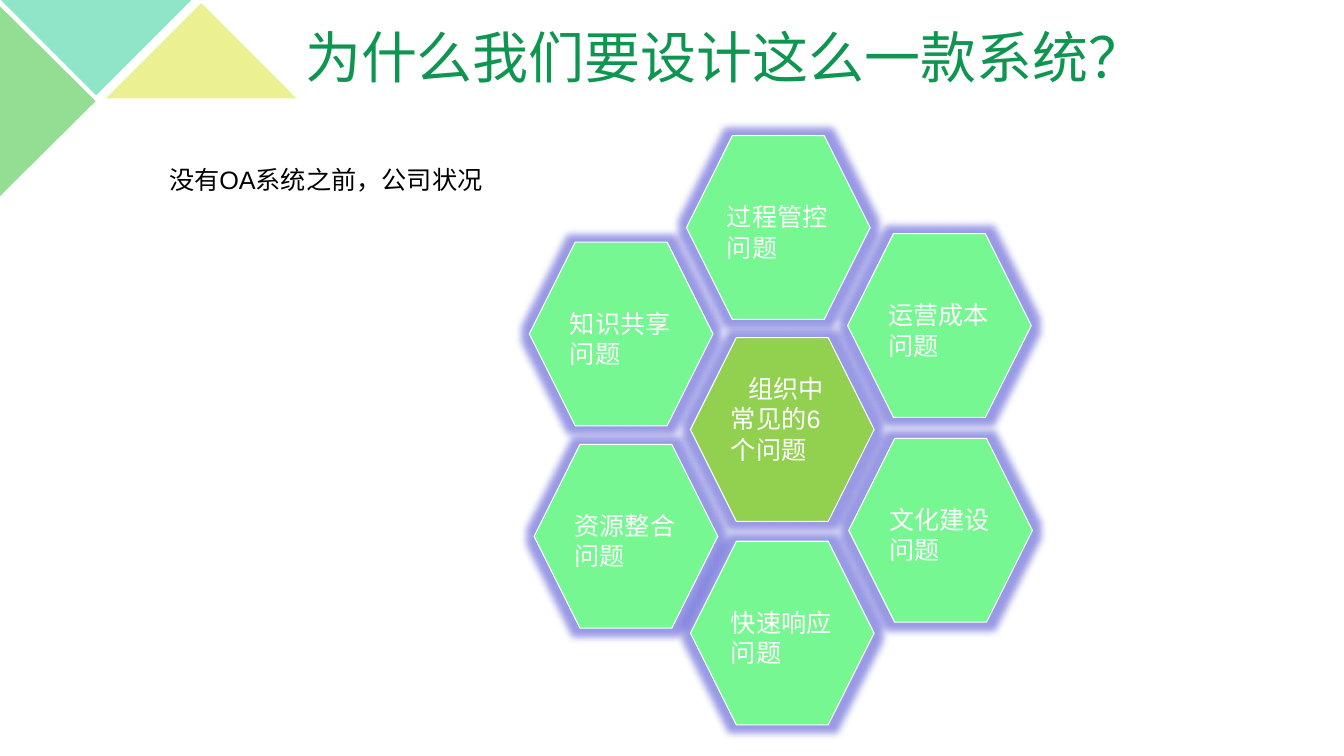
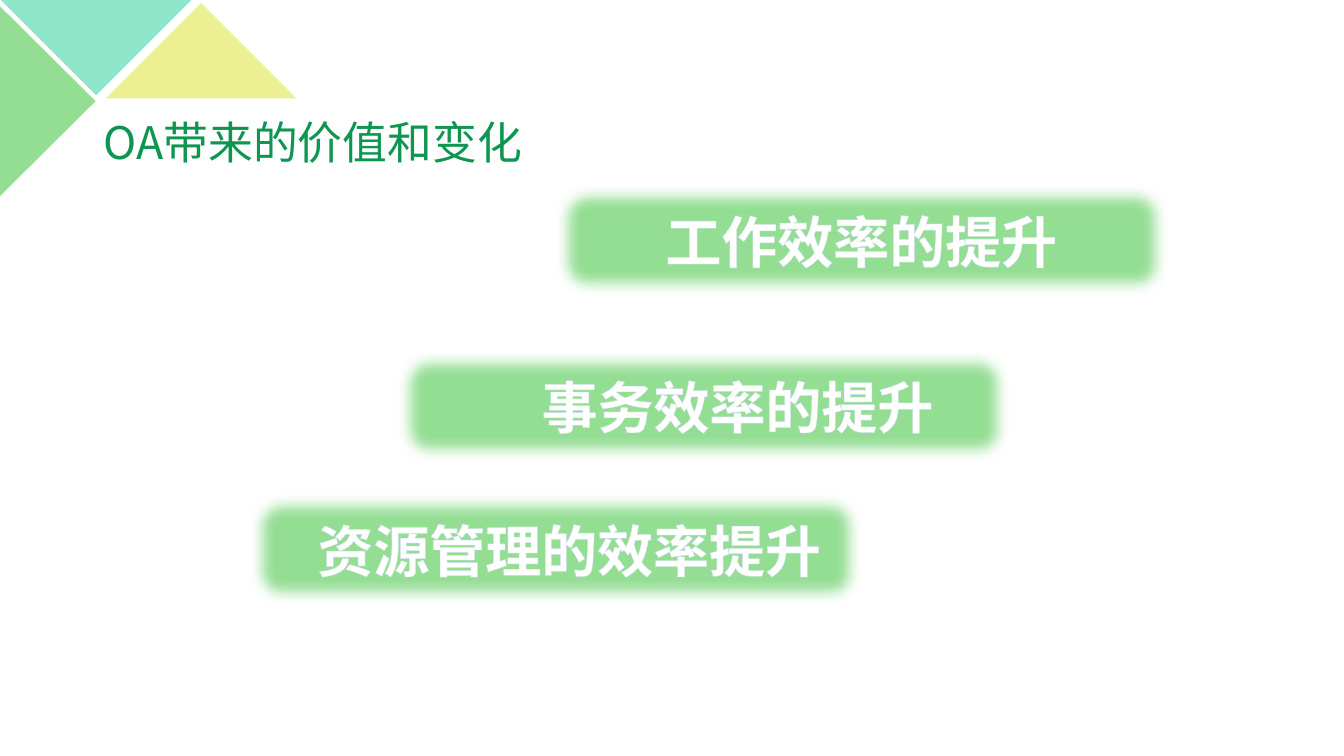
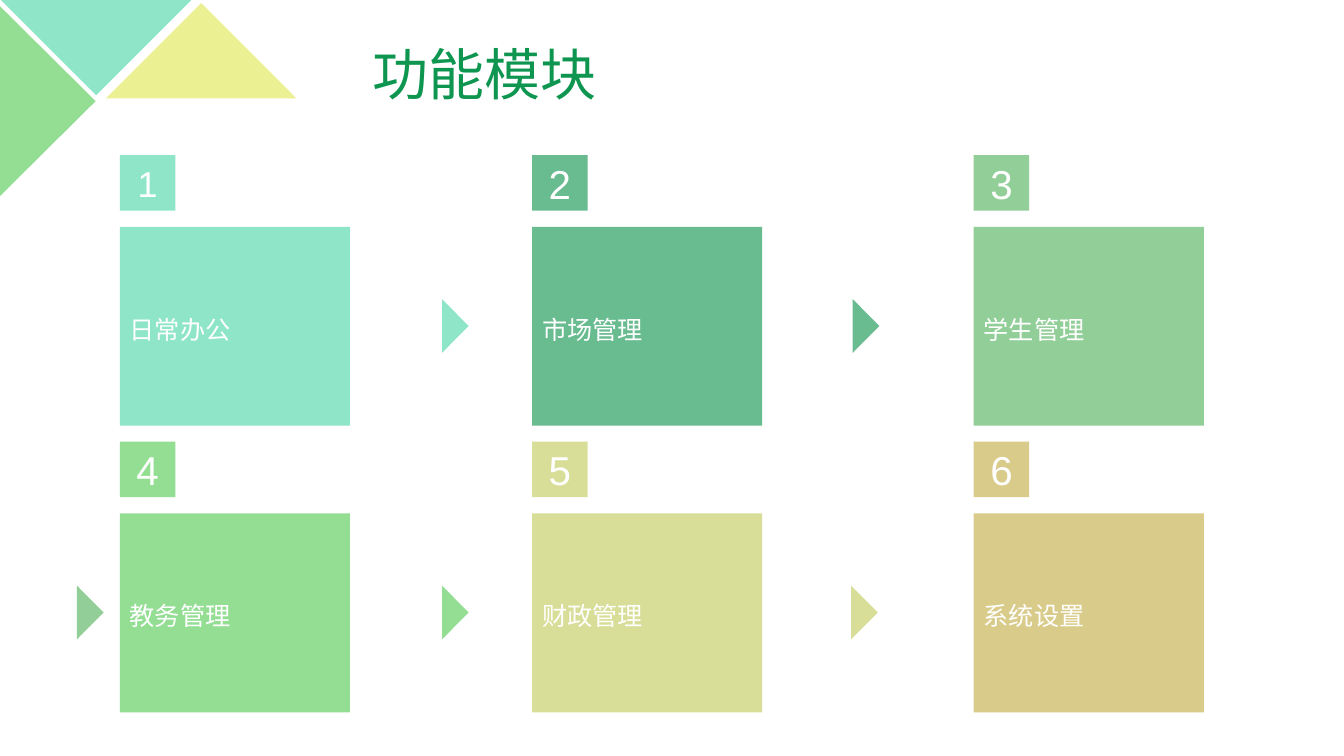
import pptx
import pptx.util
import pptx.dml.color
import pptx.enum.shapes
import pptx.enum.text
import pptx.oxml
import pptx.oxml.ns

Cm = pptx.util.Cm
Pt = pptx.util.Pt
PRESET = pptx.enum.shapes.MSO_SHAPE
ALIGN = pptx.enum.text.PP_ALIGN
ANCHOR = pptx.enum.text.MSO_ANCHOR

COLORS = {
    "title": "0E9651", "black": "000000", "white": "FFFFFF",
    "green": "94DE94", "mint": "8EE5C7", "yellow": "EBF092",
    "lime": "92D050", "bright": "76F791", "glow": "3333CC", "outline": "D0DFF0",
    "teal": "69BB90", "sage": "91CE98", "olive": "D8DE98", "sand": "D9CB89",
}
CJK_FONT = "Noto Sans CJK SC"
CORNER = [
    (-1.2, 1.34, 4.8, 2.42, 90, "green"),
    (0.02, 0, 4.8, 2.4, 180, "mint"),
    (2.67, 0.08, 4.8, 2.4, 0, "yellow"),
]


def rgb(color):
    return pptx.dml.color.RGBColor.from_string(COLORS[color])


def xml(markup):
    return pptx.oxml.parse_xml(markup.replace(" ", f" {pptx.oxml.ns.nsdecls('a')} ", 1))


class Deck:
    def __init__(self):
        self.presentation = pptx.Presentation()
        self.presentation.slide_width = Cm(33.87)
        self.presentation.slide_height = Cm(19.05)
        self.slide = None

    def new_slide(self):
        self.slide = self.presentation.slides.add_slide(self.presentation.slide_layouts[6])
        for left, top, width, height, turn, color in CORNER:
            self.shape(PRESET.ISOSCELES_TRIANGLE, left, top, width, height, color, turn=turn)

    def shape(self, preset, left, top, width, height, fill, line=None, turn=0, effect=None):
        shape = self.slide.shapes.add_shape(preset, Cm(left), Cm(top), Cm(width), Cm(height))
        shape.rotation = turn
        shape.shadow.inherit = False
        shape.fill.solid()
        shape.fill.fore_color.rgb = rgb(fill)
        if line:
            shape.line.color.rgb = rgb(line)
            shape.line.width = Pt(0.75)
        else:
            shape.line.fill.background()
        if effect:
            shape._element.spPr.find(pptx.oxml.ns.qn("a:effectLst")).append(xml(effect))
        return shape

    def label(self, holder, words, size, color, font="Arial", align=ALIGN.LEFT,
              anchor=ANCHOR.MIDDLE, bold=False, spacing=None):
        frame = holder.text_frame
        frame.word_wrap = True
        frame.vertical_anchor = anchor
        paragraph = frame.paragraphs[0]
        paragraph.alignment = align
        if spacing:
            paragraph.line_spacing = spacing
        run = paragraph.add_run()
        run.text = words
        run.font.size = Pt(size)
        run.font.bold = bold
        run.font.name = font
        run.font.color.rgb = rgb(color)
        run.font._element.append(xml(f'<a:ea typeface="{CJK_FONT}"/>'))
        return run

    def text(self, left, top, width, height, words, size, color, **style):
        box = self.slide.shapes.add_textbox(Cm(left), Cm(top), Cm(width), Cm(height))
        return self.label(box, words, size, color, **style)

    def title(self, left, top, width, height, words, size=40, font=CJK_FONT):
        self.text(left, top, width, height, words, size, "title", font=font)

    def hexagon(self, left, top, words, fill="bright", lead=0.76, indent=0):
        glow = (f'<a:glow rad="139700"><a:srgbClr val="{COLORS["glow"]}">'
                '<a:alpha val="50000"/></a:srgbClr></a:glow>')
        hexagon = self.shape(PRESET.HEXAGON, left, top, 4.63, 4.63, fill, "white", effect=glow)
        self.label(hexagon, words, 18, "white", anchor=ANCHOR.TOP)
        hexagon.text_frame.margin_top = Cm(0.13 + lead)
        if indent:
            properties = hexagon.text_frame.paragraphs[0]._p.get_or_add_pPr()
            properties.set("marL", "0")
            properties.set("indent", str(Cm(indent)))

    def banner(self, left, top, text_left, words):
        self.shape(PRESET.ROUNDED_RECTANGLE, left, top, 15.42, 2.79, "green",
                   effect='<a:softEdge rad="127000"/>')
        run = self.text(text_left, top + 0.43, 17.15, 1.96, words, 40, "white",
                        align=ALIGN.CENTER, anchor=ANCHOR.TOP, bold=True)
        run.font._element.insert(0, xml(
            f'<a:ln w="10160"><a:solidFill><a:srgbClr val="{COLORS["outline"]}"/>'
            '</a:solidFill></a:ln>'))

    def module(self, left, top, number, words, color, number_size):
        card = self.shape(PRESET.RECTANGLE, left, top + 1.81, 5.8, 5.01, color)
        self.label(card, words, 18, "white", spacing=1.2)
        badge = self.shape(PRESET.RECTANGLE, left, top, 1.4, 1.4, color)
        self.label(badge, str(number), number_size, "white", align=ALIGN.CENTER)

    def arrow(self, left, top, color):
        self.shape(PRESET.ISOSCELES_TRIANGLE, left, top, 1.35, 0.67, color, turn=90)


deck = Deck()

deck.new_slide()
deck.title(7.44, 0.41, 27.74, 2.01, "为什么我们要设计这么一款系统？")
deck.text(4.01, 4.01, 9.37, 1.02, "没有OA系统之前，公司状况", 18, "black", anchor=ANCHOR.TOP)
deck.hexagon(17.4, 8.51, "组织中常见的6个问题", "lime", lead=0, indent=0.44)
for left, top, problem in [
    (21.39, 11.05, "文化建设问题"),
    (21.36, 5.89, "运营成本问题"),
    (17.3, 3.42, "过程管控问题"),
    (13.34, 6.1, "知识共享问题"),
    (13.46, 11.2, "资源整合问题"),
    (17.4, 13.64, "快速响应问题"),
]:
    deck.hexagon(left, top, problem)

deck.new_slide()
deck.title(2.36, 2.57, 11.66, 2.01, "OA带来的价值和变化", size=32)
for left, top, text_left, value in [
    (10.01, 8.83, 10.01, "事务效率的提升"),
    (6.3, 12.45, 5.77, "资源管理的效率提升"),
    (14, 4.66, 13.13, "工作效率的提升"),
]:
    deck.banner(left, top, text_left, value)

deck.new_slide()
deck.title(9.14, 0.74, 22.81, 2.18, "功能模块", font="Arial")
columns = [3.02, 13.41, 24.54]
rows = [3.91, 11.13]
arrow_after = [(10.8, 0), (21.15, 0), (1.6, 1), (10.8, 1), (21.11, 1)]
modules = [
    ("日常办公", "mint"), ("市场管理", "teal"), ("学生管理", "sage"),
    ("教务管理", "green"), ("财政管理", "olive"), ("系统设置", "sand"),
]
for index, (name, color) in enumerate(modules):
    row, column = divmod(index, len(columns))
    deck.module(columns[column], rows[row], index + 1, name, color, 28.8 if index else 25.6)
for (left, row), (name, color) in zip(arrow_after, modules):
    deck.arrow(left, rows[row] + 3.97, color)

deck.presentation.save("out.pptx")
